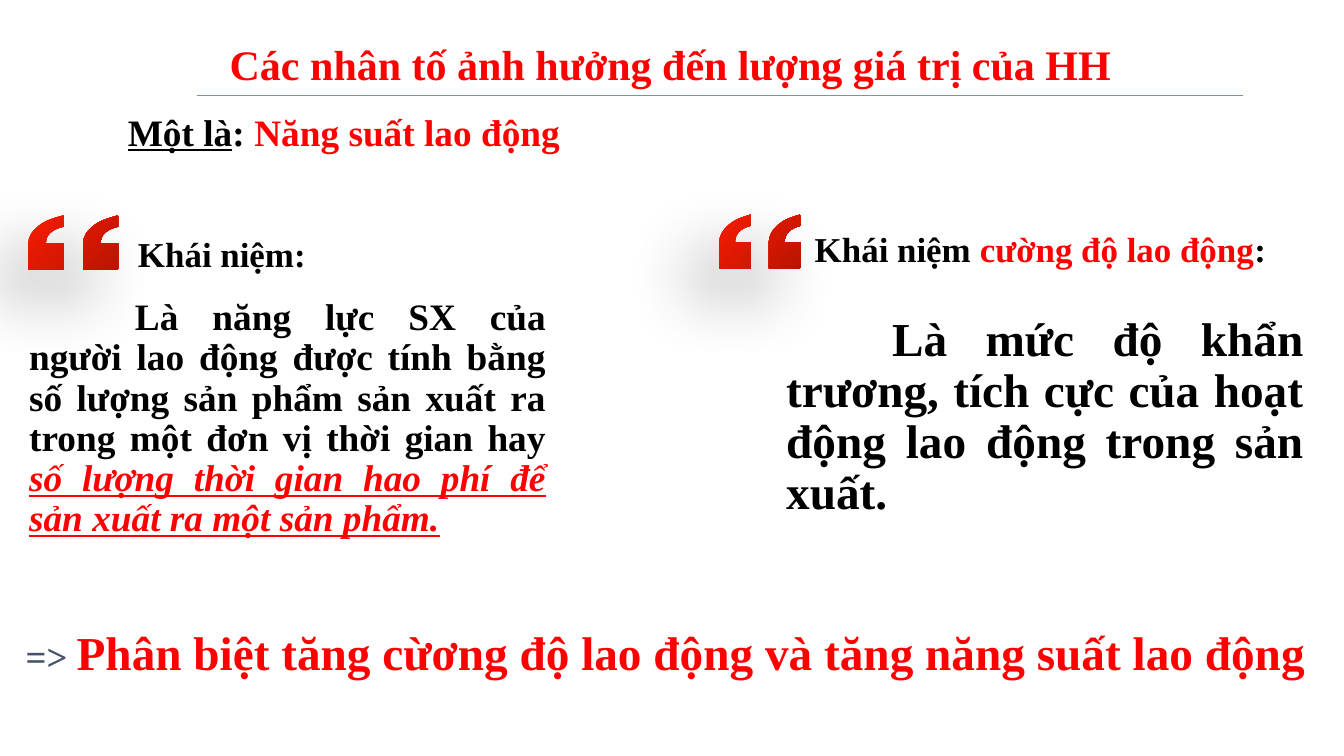
from dataclasses import dataclass
from lxml.etree import SubElement
from pptx import Presentation
from pptx.dml.color import RGBColor
from pptx.enum.shapes import MSO_CONNECTOR
from pptx.enum.text import MSO_ANCHOR, MSO_AUTO_SIZE, PP_ALIGN
from pptx.oxml.ns import qn
from pptx.util import Pt

PX = 9144
MARK = [
    (1, 0), (1, 0.21),
    (0.67, 0.26), (0.5, 0.36), (0.5, 0.52),
    (1, 0.52), (1, 1), (0, 1), (0, 0.52),
    (0, 0.4), (0.1, 0.29), (0.3, 0.19),
    (0.47, 0.1), (0.7, 0.05), (1, 0),
]
BENDS = (2, 9, 12)


@dataclass(frozen=True)
class Theme:
    font: str = "Times New Roman"
    red: str = "FF0000"
    black: str = "000000"
    slate: str = "44546A"
    rule: str = "5B9BD5"
    light: str = "F81B02"
    dark: str = "BA1401"
    title: float = 32
    text: float = 28.4
    head: float = 26.65
    large: float = 36
    small: float = 28


T = Theme()


def emu(*nums):
    return [round(n * PX) for n in nums]


def write(frame, runs, align=PP_ALIGN.LEFT, space=None, anchor=MSO_ANCHOR.TOP, tab=None):
    frame.word_wrap = True
    frame.auto_size = MSO_AUTO_SIZE.NONE
    frame.vertical_anchor = anchor
    para = frame.paragraphs[0]
    para.alignment = align
    para.line_spacing = space
    if tab:
        stops = SubElement(para._p.get_or_add_pPr(), qn("a:tabLst"))
        SubElement(stops, qn("a:tab"), pos=str(tab * PX), algn="l")
    for text, size, color, *marks in runs:
        run = para.add_run()
        run.text = text
        font = run.font
        font.name, font.size, font.bold = T.font, Pt(size), True
        font.color.rgb = RGBColor.from_string(color)
        font.underline = "u" in marks
        font.italic = "i" in marks


def add_text(slide, box, runs, **style):
    frame = slide.shapes.add_textbox(*emu(*box)).text_frame
    write(frame, runs, **style)
    return frame


def outline(slide, paths):
    build = slide.shapes.build_freeform(*paths[0][0], scale=1.0)
    build.add_line_segments(paths[0][1:], close=True)
    for route in paths[1:]:
        build.move_to(*route[0])
        build.add_line_segments(route[1:], close=True)
    shape = build.convert_to_shape()
    shape.line.fill.background()
    shape.shadow.inherit = False
    return shape


def bend(shape):
    route = shape.element.spPr.find(".//" + qn("a:path"))
    nodes = list(route)
    size = len(MARK) + 1
    for start in range(0, len(nodes), size):
        for first in BENDS:
            group = nodes[start + first:start + first + 3]
            arc = SubElement(route, qn("a:cubicBezTo"))
            group[0].addprevious(arc)
            for node in group:
                arc.append(node[0])
                route.remove(node)


def add_quote(slide, box):
    left, top, width, height = box
    wide = 0.39 * width
    paths = [[emu(x + u * wide, top + v * height) for u, v in MARK]
             for x in (left + width - wide, left)]
    shape = outline(slide, paths)
    bend(shape)
    shape.fill.gradient()
    shape.fill.gradient_angle = 315
    for stop, color, place in zip(shape.fill.gradient_stops, (T.light, T.dark), (0, 1)):
        stop.color.rgb = RGBColor.from_string(color)
        stop.position = place
    effect = shape.element.spPr.find(qn("a:effectLst"))
    outer = SubElement(effect, qn("a:outerShdw"), blurRad=str(Pt(52)),
                       dist=str(Pt(30)), dir="8100000", algn="tr", rotWithShape="0")
    tint = SubElement(outer, qn("a:srgbClr"), val=T.black)
    SubElement(tint, qn("a:alpha"), val="40000")


def add_title(slide, box):
    left, top, width, height = box
    title = slide.shapes.title
    title.left, title.top, title.width, title.height = emu(*box)
    write(title.text_frame,
          [("Các nhân tố ảnh hưởng đến lượng giá trị của HH", T.title, T.red)])
    ends = emu(left - 25, top + 65, left + 1082, top + 65)
    line = slide.shapes.add_connector(MSO_CONNECTOR.STRAIGHT, *ends)
    line.line.color.rgb = RGBColor.from_string(T.rule)
    line.line.width = Pt(0.5)
    SubElement(line.element.spPr, qn("a:effectLst"))


def add_topic(slide, box):
    left, top, width, height = box
    right, base = left + width, top + height
    shape = outline(slide, [[emu(left, top), emu(right, top),
                             emu(right, base), emu(left, base)]])
    shape.fill.background()
    frame = shape.text_frame
    frame.margin_left = frame.margin_right = 10 * PX
    frame.margin_top = frame.margin_bottom = 10 * PX
    runs = [("Một là", T.text, T.black, "u"), (": ", T.text, T.black),
            ("Năng suất lao động", T.text, T.red)]
    write(frame, runs, align=PP_ALIGN.CENTER, space=0.9, anchor=MSO_ANCHOR.MIDDLE)


def add_idea(slide, quote, head, body, title, runs):
    add_text(slide, head, title, space=0.9)
    add_quote(slide, quote)
    add_text(slide, body, runs, align=PP_ALIGN.JUSTIFY, space=0.9, tab=112)


def add_close(slide, box):
    runs = [("=> ", T.small, T.slate),
            ("Phân biệt tăng cừơng độ lao động và tăng năng suất lao động",
             T.large, T.red)]
    frame = add_text(slide, box, runs, align=PP_ALIGN.CENTER)
    frame.word_wrap = False


def main():
    deck = Presentation()
    deck.slide_width, deck.slide_height = emu(1422, 800)
    slide = deck.slides.add_slide(deck.slide_layouts[5])
    add_title(slide, (233, 36, 971, 64))
    add_topic(slide, (50, 112, 628, 60))
    add_idea(
        slide, (30, 228, 95, 57), (127, 246, 440, 95), (21, 311, 567, 334),
        [(" Khái niệm:", T.head, T.black)],
        [("\tLà năng lực SX của người lao động được tính bằng số lượng sản phẩm "
          "sản xuất ra trong một đơn vị thời gian hay ", T.text, T.black),
         ("số lượng thời gian hao phí để sản xuất ra một sản phẩm.",
          T.text, T.red, "u", "i")])
    add_idea(
        slide, (761, 227, 86, 57), (843, 241, 525, 95), (822, 329, 567, 298),
        [(" Khái niệm ", T.head, T.black), ("cường độ lao động", T.head, T.red),
         (":", T.head, T.black)],
        [("\tLà mức độ khẩn trương, tích cực của hoạt động lao động trong sản xuất.",
          T.large, T.black)])
    add_close(slide, (16, 655, 1376, 71))
    deck.save("out.pptx")


if __name__ == "__main__":
    main()
